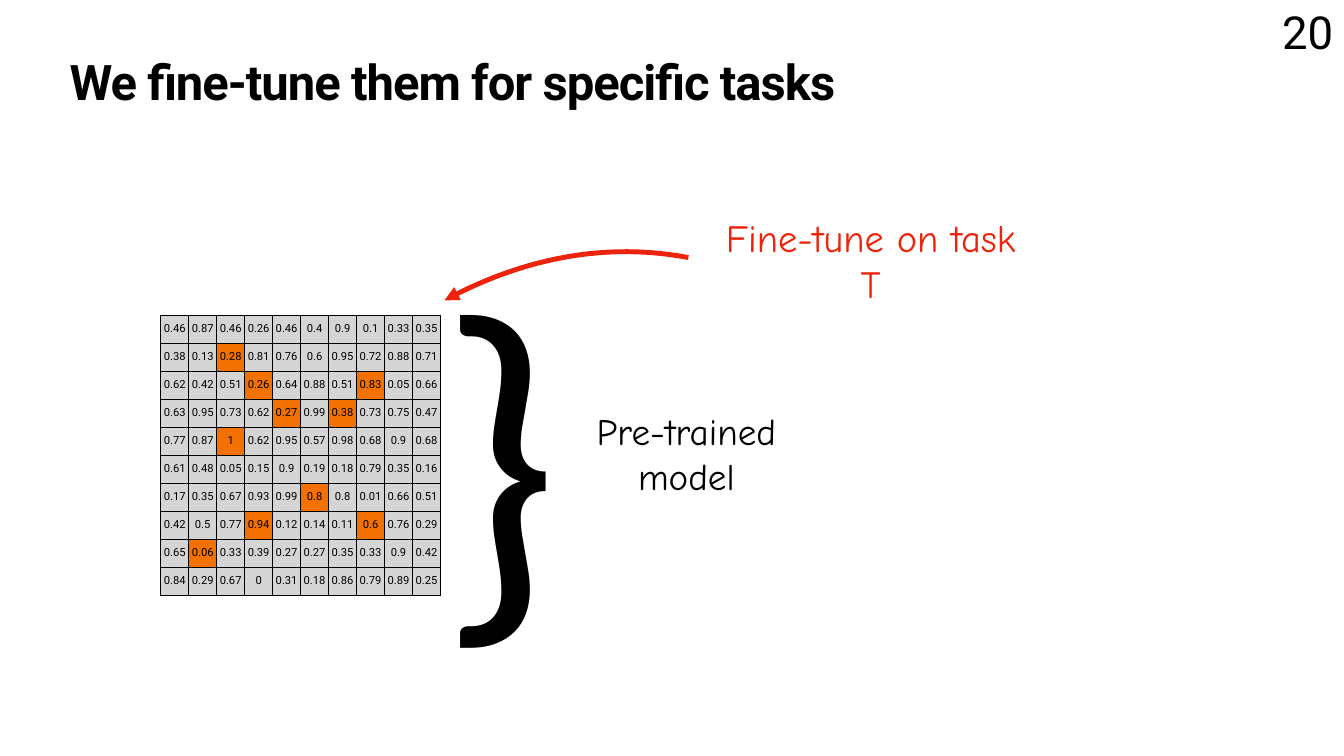
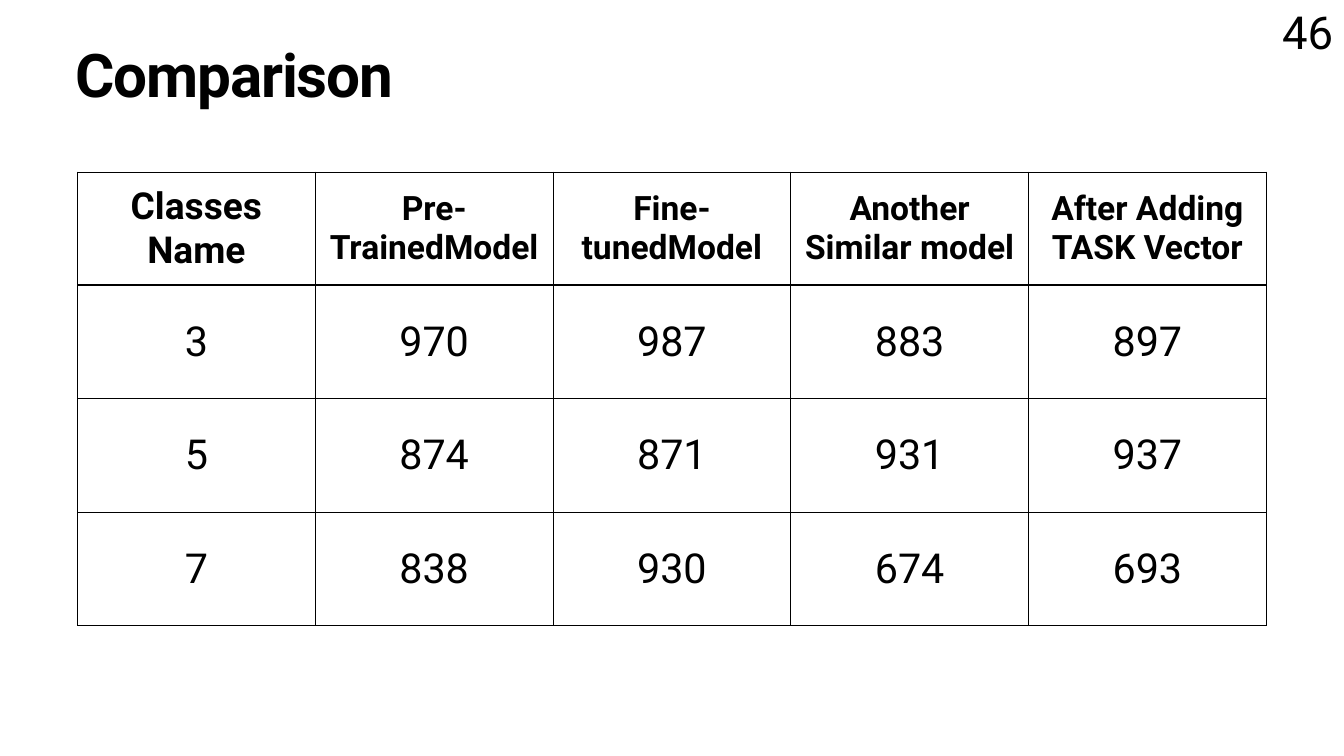
from dataclasses import dataclass

from lxml import etree
from pptx import Presentation
from pptx.dml.color import RGBColor
from pptx.enum.text import MSO_ANCHOR, MSO_AUTO_SIZE, PP_ALIGN
from pptx.oxml.ns import qn
from pptx.util import Emu, Inches, Pt

CENTER, LEFT = PP_ALIGN.CENTER, PP_ALIGN.LEFT
TOP, MIDDLE, BOTTOM = MSO_ANCHOR.TOP, MSO_ANCHOR.MIDDLE, MSO_ANCHOR.BOTTOM
GROW, FIXED = MSO_AUTO_SIZE.SHAPE_TO_FIT_TEXT, MSO_AUTO_SIZE.NONE

SLIDE_WIDTH, SLIDE_HEIGHT = Inches(26.67), Inches(15)
INSET = Inches(0.06)
BLACK, RED, GREY, ORANGE = "000000", "EE230C", "D5D5D5", "F27100"
BODY_FONT, HAND_FONT, BRACE_FONT = "Roboto", "Comic Neue", "Lato"
THIN, THICK = 1, 3
CURVE_STEPS = 24

WEIGHTS = """
0.46 0.87 0.46 0.26 0.46 0.4 0.9 0.1 0.33 0.35
0.38 0.13 0.28 0.81 0.76 0.6 0.95 0.72 0.88 0.71
0.62 0.42 0.51 0.26 0.64 0.88 0.51 0.83 0.05 0.66
0.63 0.95 0.73 0.62 0.27 0.99 0.38 0.73 0.75 0.47
0.77 0.87 1 0.62 0.95 0.57 0.98 0.68 0.9 0.68
0.61 0.48 0.05 0.15 0.9 0.19 0.18 0.79 0.35 0.16
0.17 0.35 0.67 0.93 0.99 0.8 0.8 0.01 0.66 0.51
0.42 0.5 0.77 0.94 0.12 0.14 0.11 0.6 0.76 0.29
0.65 0.06 0.33 0.39 0.27 0.27 0.35 0.33 0.9 0.42
0.84 0.29 0.67 0 0.31 0.18 0.86 0.79 0.89 0.25
"""
TUNED_CELLS = {(1, 2), (2, 3), (2, 7), (3, 4), (3, 6), (4, 2), (6, 5), (7, 3), (7, 7), (8, 1)}

COMPARISON = [
    ["Classes Name", "Pre-TrainedModel", "Fine-tunedModel", "Another Similar model",
     "After Adding TASK Vector"],
    ["3", "970", "987", "883", "897"],
    ["5", "874", "871", "931", "937"],
    ["7", "838", "930", "674", "693"],
]


@dataclass(frozen=True)
class Box:
    """Percentages of the slide's width and height."""
    left: float
    top: float
    width: float
    height: float

    def lengths(self) -> tuple[Emu, Emu, Emu, Emu]:
        return across(self.left), down(self.top), across(self.width), down(self.height)


@dataclass(frozen=True)
class Style:
    size: float
    font: str = BODY_FONT
    color: str = BLACK
    bold: bool = False
    align: PP_ALIGN = CENTER


@dataclass(frozen=True)
class Label:
    text: str
    box: Box
    style: Style
    anchor: MSO_ANCHOR = MIDDLE
    wrap: bool = True
    fit: MSO_AUTO_SIZE = GROW


@dataclass(frozen=True)
class CellLook:
    style: Style
    fill: str | None = None
    top: float = THIN
    bottom: float = THIN


NUMBER_BOX = Box(94.86, 0.4, 4.87, 7.8)
WEIGHTS_BOX = Box(11.96, 41.67, 20.82, 37.03)
COMPARISON_BOX = Box(5.77, 22.73, 88.45, 60.05)
ARROW_CURVE = [(33.07, 39.73), (39.15, 33.93), (45.22, 32.07), (51.22, 34.07)]

FINE_TUNE_LABELS = [
    Label("Pre-trained model", Box(43.87, 56.87, 14.4, 6.13), Style(53, HAND_FONT)),
    Label("Fine-tune on task T", Box(53.43, 31.27, 22.72, 6.27), Style(55, HAND_FONT, RED)),
    Label("}", Box(32.7, 34.93, 9.52, 49.07), Style(522, BRACE_FONT), wrap=False),
]


def across(percent: float) -> Emu:
    return Emu(round(SLIDE_WIDTH * percent / 100))


def down(percent: float) -> Emu:
    return Emu(round(SLIDE_HEIGHT * percent / 100))


def rgb(color: str) -> RGBColor:
    return RGBColor.from_string(color)


def style_paragraph(paragraph, style: Style) -> None:
    paragraph.alignment = style.align
    paragraph.font.name = style.font
    paragraph.font.size = Pt(style.size)
    paragraph.font.bold = style.bold
    paragraph.font.color.rgb = rgb(style.color)


def set_insets(holder) -> None:
    holder.margin_left = holder.margin_right = INSET
    holder.margin_top = holder.margin_bottom = INSET


def add_label(slide, label: Label):
    frame = slide.shapes.add_textbox(*label.box.lengths()).text_frame
    frame.word_wrap = label.wrap
    frame.auto_size = label.fit
    frame.vertical_anchor = label.anchor
    set_insets(frame)
    paragraph = frame.paragraphs[0]
    paragraph.text = label.text
    style_paragraph(paragraph, label.style)
    return paragraph


def add_title(slide, text: str, box: Box, size: float) -> None:
    style = Style(size, bold=True, align=LEFT)
    paragraph = add_label(slide, Label(text, box, style, anchor=TOP, fit=FIXED))
    paragraph.line_spacing = 0.8
    paragraph.runs[0]._r.get_or_add_rPr().set("spc", str(round(-2 * size)))


def add_number(slide, number: int) -> None:
    add_label(slide, Label(str(number), NUMBER_BOX, Style(65), BOTTOM, wrap=False))


def add_border(cell, side: str, width: float) -> None:
    properties = cell._tc.get_or_add_tcPr()
    line = etree.SubElement(properties, qn(f"a:ln{side}"), w=str(Pt(width)))
    fill = etree.SubElement(line, qn("a:solidFill"))
    etree.SubElement(fill, qn("a:srgbClr"), val=BLACK)


def fill_cell(cell, text: str, look: CellLook) -> None:
    for side, width in zip("LRTB", (THIN, THIN, look.top, look.bottom)):
        add_border(cell, side, width)
    if look.fill:
        cell.fill.solid()
        cell.fill.fore_color.rgb = rgb(look.fill)
    else:
        cell.fill.background()
    cell.vertical_anchor = MIDDLE
    set_insets(cell)
    paragraph = cell.text_frame.paragraphs[0]
    paragraph.text = text
    style_paragraph(paragraph, look.style)


def add_grid(slide, box: Box, rows: list[list[str]], look_at) -> None:
    left, top, width, height = box.lengths()
    row_count, column_count = len(rows), len(rows[0])
    table = slide.shapes.add_table(row_count, column_count, left, top, width, height).table
    table.first_row = table.horz_banding = False
    for column in table.columns:
        column.width = Emu(width // column_count)
    for row_index, values in enumerate(rows):
        table.rows[row_index].height = Emu(height // row_count)
        for column_index, text in enumerate(values):
            cell = table.cell(row_index, column_index)
            fill_cell(cell, text, look_at(row_index, column_index))


def weight_look(row: int, column: int) -> CellLook:
    return CellLook(Style(16), ORANGE if (row, column) in TUNED_CELLS else GREY)


def comparison_look(row: int, column: int) -> CellLook:
    if row == 0:
        return CellLook(Style(48 if column else 53, bold=True), bottom=THICK)
    return CellLook(Style(59), top=THICK if row == 1 else THIN)


def curve_point(controls: list[tuple[float, float]], share: float) -> tuple[Emu, Emu]:
    rest = 1 - share
    factors = (rest**3, 3 * rest**2 * share, 3 * rest * share**2, share**3)
    x, y = (sum(f * v for f, v in zip(factors, values)) for values in zip(*controls))
    return across(x), down(y)


def add_curved_arrow(slide, controls: list[tuple[float, float]]) -> None:
    points = [curve_point(controls, step / CURVE_STEPS) for step in range(CURVE_STEPS + 1)]
    builder = slide.shapes.build_freeform(*points[0])
    builder.add_line_segments(points[1:], close=False)
    arrow = builder.convert_to_shape()
    arrow.shadow.inherit = False
    arrow.fill.background()
    arrow.line.color.rgb = rgb(RED)
    arrow.line.width = Pt(7)
    etree.SubElement(arrow.line._get_or_add_ln(), qn("a:headEnd"), type="triangle")


def build_fine_tune_slide(slide) -> None:
    add_title(slide, "We fine-tune them for specific tasks", Box(4.95, 7.87, 90.1, 10.47), 70)
    for label in FINE_TUNE_LABELS:
        add_label(slide, label)
    weights = [line.split() for line in WEIGHTS.strip().splitlines()]
    add_grid(slide, WEIGHTS_BOX, weights, weight_look)
    add_curved_arrow(slide, ARROW_CURVE)
    add_number(slide, 20)


def build_comparison_slide(slide) -> None:
    add_number(slide, 46)
    add_grid(slide, COMPARISON_BOX, COMPARISON, comparison_look)
    add_title(slide, "Comparison", Box(5.4, 6.33, 34.2, 13.53), 86)


def main() -> None:
    presentation = Presentation()
    presentation.slide_width, presentation.slide_height = SLIDE_WIDTH, SLIDE_HEIGHT
    blank_layout = presentation.slide_layouts[6]
    for build in (build_fine_tune_slide, build_comparison_slide):
        build(presentation.slides.add_slide(blank_layout))
    presentation.save("out.pptx")


if __name__ == "__main__":
    main()
